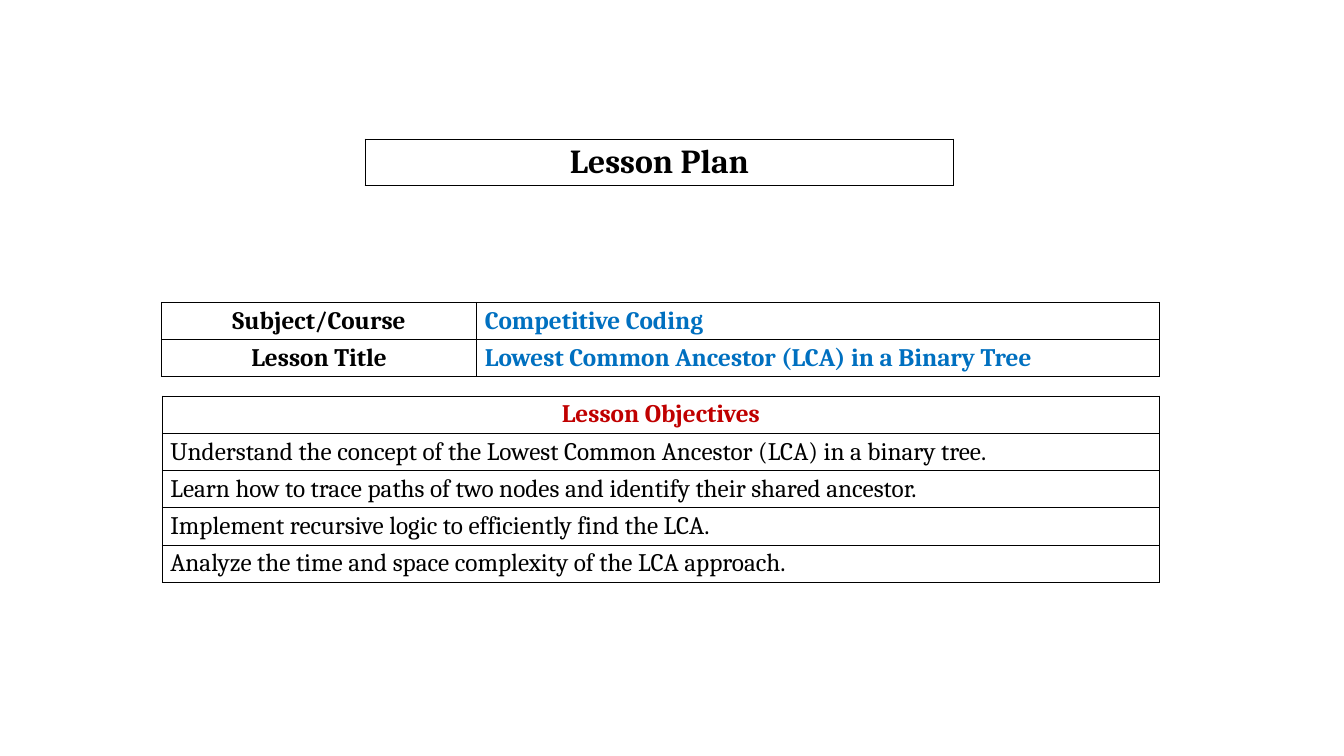
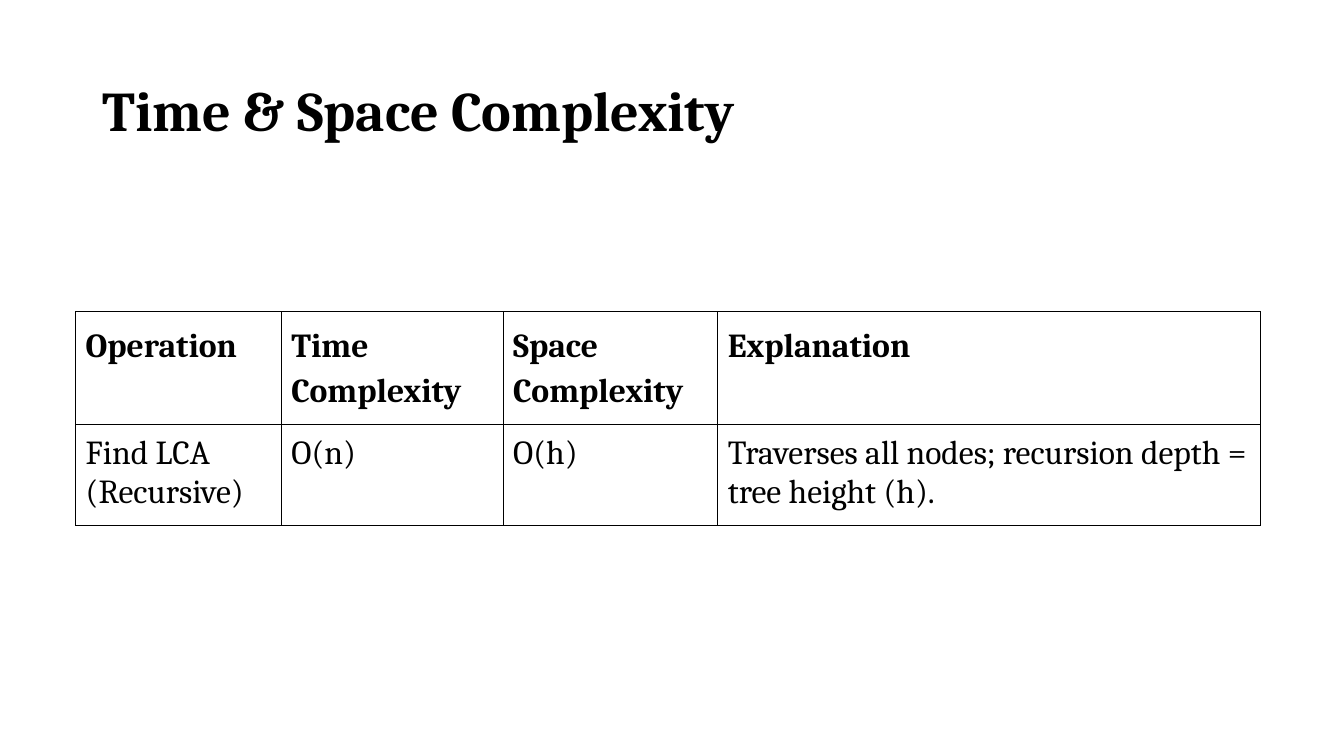
"""Build a two-slide lesson deck on the lowest common ancestor."""
from dataclasses import dataclass

from lxml import etree
from pptx import Presentation
from pptx.dml.color import RGBColor
from pptx.enum.text import MSO_ANCHOR, PP_ALIGN
from pptx.oxml.ns import qn
from pptx.slide import Slide
from pptx.table import _Cell
from pptx.text.text import TextFrame
from pptx.util import Emu, Pt

LEFT, CENTER = PP_ALIGN.LEFT, PP_ALIGN.CENTER
TOP, MIDDLE = MSO_ANCHOR.TOP, MSO_ANCHOR.MIDDLE
SCALE = 9144
FONT = "Cambria"
BLACK, WHITE, BLUE, RED = "000000", "FFFFFF", "0070C0", "C00000"


@dataclass(frozen=True)
class Entry:
    text: str
    bold: bool = False
    color: str = BLACK
    align: PP_ALIGN = LEFT
    space: float = 1.0


@dataclass(frozen=True)
class Grid:
    left: int
    top: int
    cols: list[int]
    rows: list[int]
    cells: list[list[Entry]]
    size: int = 18
    inset: tuple[int, int] = (8, 4)
    anchor: MSO_ANCHOR = MIDDLE
    line: float = 0.77


def px(n: int) -> Emu:
    return Emu(n * SCALE)


def rgb(code: str) -> RGBColor:
    return RGBColor.from_string(code)


def write(frame: TextFrame, text: str, *, size: int, bold: bool = False,
          color: str = BLACK, align: PP_ALIGN = LEFT, space: float = 1.0) -> None:
    frame.word_wrap = True
    para = frame.paragraphs[0]
    para.alignment = align
    para.line_spacing = space
    run = para.add_run()
    run.text = text
    font = run.font
    font.name, font.size, font.bold = FONT, Pt(size), bold
    font.color.rgb = rgb(color)


def border(cell: _Cell, width: float) -> None:
    props = cell._tc.get_or_add_tcPr()
    for side in ("lnL", "lnR", "lnT", "lnB"):
        line = etree.SubElement(props, qn(f"a:{side}"), w=str(Pt(width)))
        fill = etree.SubElement(line, qn("a:solidFill"))
        etree.SubElement(fill, qn("a:srgbClr"), val=BLACK)


def draw(slide: Slide, grid: Grid) -> None:
    table = slide.shapes.add_table(
        len(grid.rows), len(grid.cols), px(grid.left), px(grid.top),
        px(sum(grid.cols)), px(sum(grid.rows))).table
    table.first_row = table.horz_banding = False
    for col, width in zip(table.columns, grid.cols):
        col.width = px(width)
    for row, height, items in zip(table.rows, grid.rows, grid.cells):
        row.height = px(height)
        for cell, item in zip(row.cells, items):
            border(cell, grid.line)
            cell.fill.solid()
            cell.fill.fore_color.rgb = rgb(WHITE)
            across, down = map(px, grid.inset)
            cell.margin_left = cell.margin_right = across
            cell.margin_top = cell.margin_bottom = down
            cell.vertical_anchor = grid.anchor
            write(cell.text_frame, item.text, size=grid.size, bold=item.bold,
                  color=item.color, align=item.align, space=item.space)


def title(slide: Slide, text: str) -> None:
    frame = slide.shapes.add_textbox(px(92), px(40), px(1150), px(145)).text_frame
    frame.vertical_anchor = MIDDLE
    write(frame, text, size=40, bold=True, space=0.9)


def plan(slide: Slide) -> None:
    facts = [("Subject/Course", "Competitive Coding"),
             ("Lesson Title", "Lowest Common Ancestor (LCA) in a Binary Tree")]
    goals = ["Understand the concept of the Lowest Common Ancestor (LCA) in a binary tree.",
             "Learn how to trace paths of two nodes and identify their shared ancestor.",
             "Implement recursive logic to efficiently find the LCA.",
             "Analyze the time and space complexity of the LCA approach."]
    draw(slide, Grid(362, 138, [584], [46],
                     [[Entry("Lesson Plan", True, align=CENTER)]], size=24))
    draw(slide, Grid(160, 300, [313, 677], [37] * len(facts),
                     [[Entry(name, True, align=CENTER), Entry(value, True, BLUE)]
                      for name, value in facts]))
    draw(slide, Grid(161, 393, [989], [37] * (len(goals) + 1),
                     [[Entry("Lesson Objectives", True, RED, CENTER)],
                      *([Entry(goal)] for goal in goals)]))


def costs(slide: Slide) -> None:
    heads = ["Operation", "Time Complexity", "Space Complexity", "Explanation"]
    facts = ["Find LCA (Recursive)", "O(n)", "O(h)",
             "Traverses all nodes; recursion depth = tree height (h)."]
    title(slide, "Time & Space Complexity")
    draw(slide, Grid(75, 309, [204, 220, 213, 538], [108, 96],
                     [[Entry(head, True, space=1.15) for head in heads],
                      [Entry(fact) for fact in facts]],
                     size=24, inset=(10, 10), anchor=TOP, line=0.75))


def main() -> None:
    deck = Presentation()
    deck.slide_width, deck.slide_height = px(1333), px(750)
    for build in (plan, costs):
        build(deck.slides.add_slide(deck.slide_layouts[6]))
    deck.save("out.pptx")


if __name__ == "__main__":
    main()
